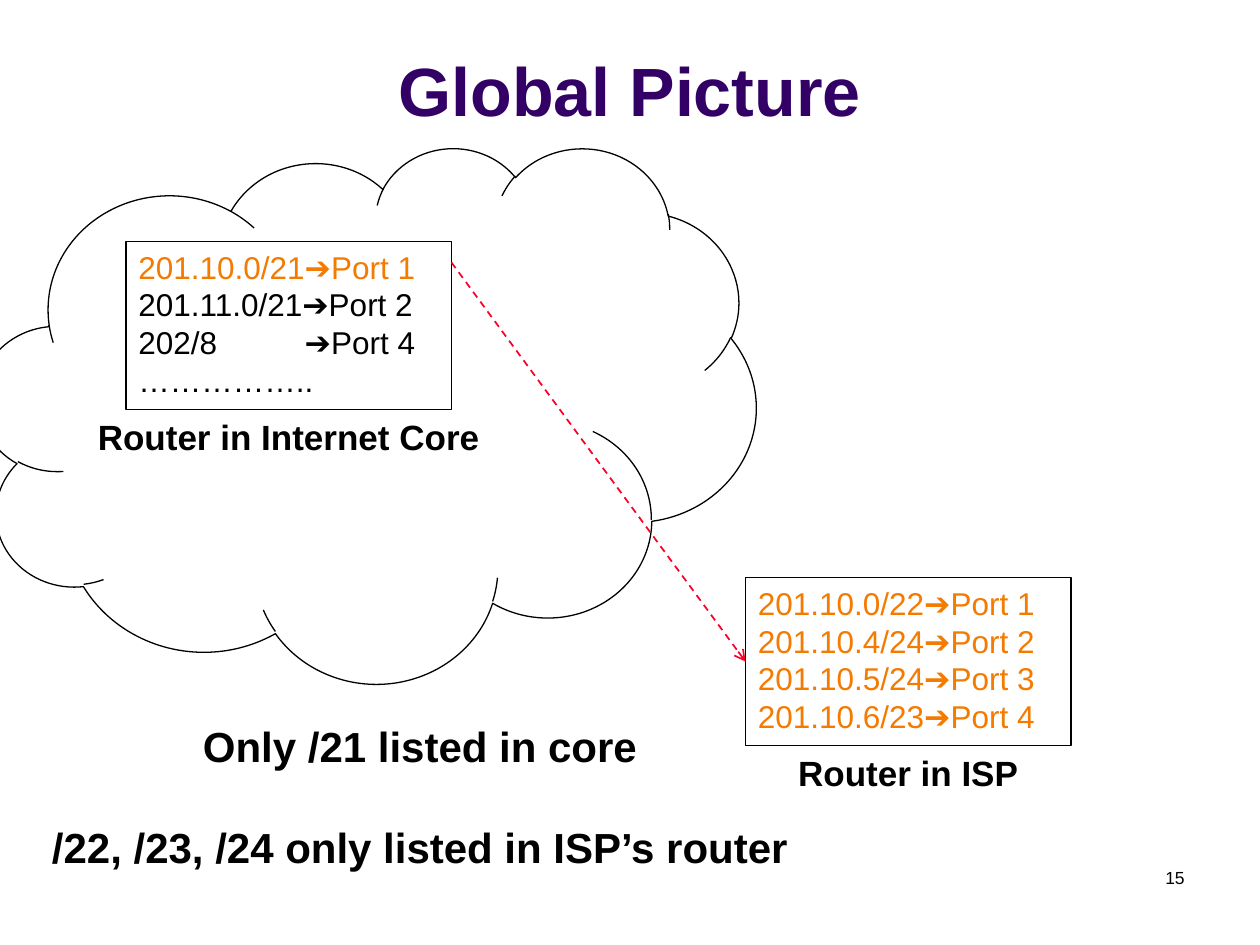
from dataclasses import dataclass

from lxml.etree import SubElement
from pptx import Presentation
from pptx.dml.color import RGBColor as Rgb
from pptx.enum.dml import MSO_LINE as Dash
from pptx.enum.shapes import MSO_CONNECTOR as Link, MSO_SHAPE as Preset
from pptx.enum.text import MSO_ANCHOR as Anchor, PP_ALIGN as Align
from pptx.oxml.ns import qn
from pptx.util import Inches, Pt


@dataclass(frozen=True)
class Theme:
    """Colours, font and type sizes of the slide."""
    font: str = "Arial"
    heading: str = "330066"
    ink: str = "000000"
    accent: str = "F47A00"
    route: str = "FC0128"
    title_size: int = 39
    note_size: int = 24
    caption_size: int = 20
    entry_size: int = 18
    number_size: int = 10


def cells(*counts):
    """Turn counts of twelfth-inch grid cells into lengths."""
    return [Inches(count / 12) for count in counts]


def write(frame, lines, size, color="000000", font="Arial", bold=False,
          align=Align.LEFT, anchor=Anchor.TOP, gap=0, tab=None):
    """Fill a text frame; each line is text or a (text, color) pair."""
    frame.word_wrap = True
    frame.vertical_anchor = anchor
    for index, line in enumerate(lines):
        words, tint = line if isinstance(line, tuple) else (line, color)
        paragraph = frame.paragraphs[0] if index == 0 else frame.add_paragraph()
        paragraph.alignment = align
        if gap and index:
            paragraph.space_before = Pt(gap)
        if tab:
            stops = SubElement(paragraph._p.get_or_add_pPr(), qn("a:tabLst"))
            SubElement(stops, qn("a:tab"), pos=str(Inches(tab)), algn="l")
        run = paragraph.add_run()
        run.text = words
        run.font.name = font
        run.font.size = Pt(size)
        run.font.bold = bold
        run.font.color.rgb = Rgb.from_string(tint)


class Board:
    """Draws themed elements on one slide."""

    def __init__(self, slide, theme):
        """Keep the slide and its theme."""
        self.slide, self.theme = slide, theme

    def title(self, words, *place):
        """Place and format the title placeholder."""
        heading = self.slide.shapes.title
        heading.left, heading.top, heading.width, heading.height = cells(*place)
        write(heading.text_frame, [words], self.theme.title_size,
              self.theme.heading, self.theme.font, bold=True,
              align=Align.CENTER, anchor=Anchor.BOTTOM)

    def label(self, lines, place, size, **style):
        """Add a plain text box."""
        box = self.slide.shapes.add_textbox(*cells(*place))
        write(box.text_frame, lines, size, self.theme.ink, self.theme.font, **style)

    def outline(self, preset, *place):
        """Add an unfilled preset shape with a thin line."""
        figure = self.slide.shapes.add_shape(preset, *cells(*place))
        figure.shadow.inherit = False
        figure.fill.background()
        figure.line.color.rgb = Rgb.from_string(self.theme.ink)
        figure.line.width = Pt(0.75)
        return figure

    def router(self, name, entries, column, row):
        """Add a forwarding table with its caption centred below."""
        width, height, overhang = 31, 16, 5
        table = self.outline(Preset.RECTANGLE, column, row, width, height)
        write(table.text_frame, entries, self.theme.entry_size,
              self.theme.ink, self.theme.font, tab=1.32)
        self.label([name], (column - overhang, row + height, width + 2 * overhang, 5),
                   self.theme.caption_size, bold=True, align=Align.CENTER)

    def arrow(self, *ends):
        """Add a dashed arrow between two grid points."""
        route = self.slide.shapes.add_connector(Link.STRAIGHT, *cells(*ends))
        route.line.color.rgb = Rgb.from_string(self.theme.route)
        route.line.width = Pt(1)
        route.line.dash_style = Dash.DASH
        SubElement(route.line._get_or_add_ln(), qn("a:tailEnd"), type="arrow")
        SubElement(route._element.spPr, qn("a:effectLst"))


def main():
    """Build the slide and save it."""
    deck = Presentation()
    deck.slide_width, deck.slide_height = Inches(10), Inches(7.5)
    theme = Theme()
    board = Board(deck.slides.add_slide(deck.slide_layouts[5]), theme)

    board.title("Global Picture", 0, 1.5, 120, 11.5)
    board.label(["15"], (86, 82, 28, 6), theme.number_size, align=Align.RIGHT)
    board.outline(Preset.CLOUD, -2, 14, 74, 51)

    core_entries = [("201.10.0/21➔Port 1", theme.accent), "201.11.0/21➔Port 2",
                    "202/8\t➔Port 4", "…………….."]
    isp_routes = ["0/22", "4/24", "5/24", "6/23"]
    isp_entries = [(f"201.10.{route}➔Port {port}", theme.accent)
                   for port, route in enumerate(isp_routes, 1)]
    board.router("Router in Internet Core", core_entries, 12, 23)
    board.router("Router in ISP", isp_entries, 71, 55)
    board.arrow(43, 25, 71, 63)

    board.label(["Only /21 listed in core",
                 "/22, /23, /24 only listed in ISP’s router"],
                (3, 68, 74, 15.7), theme.note_size, bold=True,
                align=Align.CENTER, gap=29)
    deck.save("out.pptx")


main()
